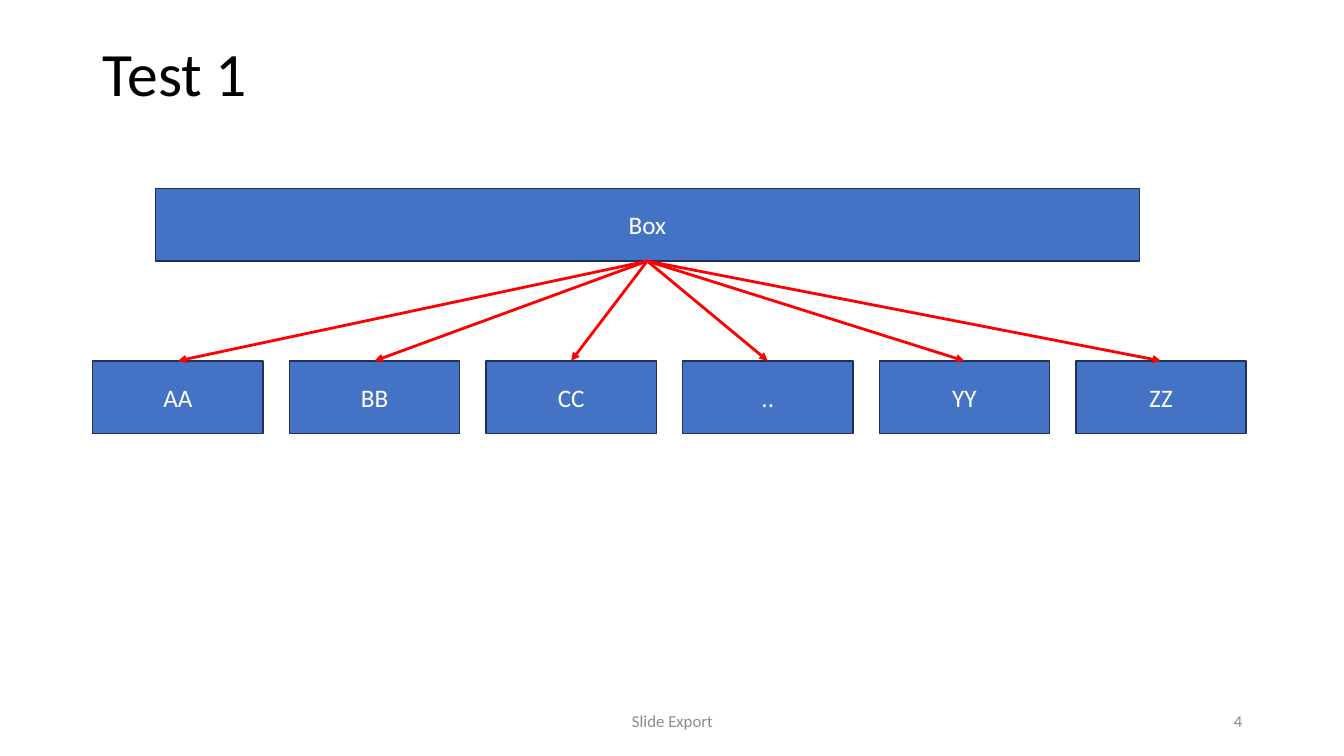
"""Build a slide with one wide box whose arrows fan out to a row of boxes."""
from lxml.etree import SubElement
from pptx import Presentation
from pptx.dml.color import RGBColor
from pptx.enum.shapes import MSO_CONNECTOR, MSO_SHAPE
from pptx.enum.text import MSO_ANCHOR, PP_ALIGN
from pptx.oxml.ns import qn
from pptx.util import Inches, Pt

TITLE = "Test 1"
PARENT = "Box"
CHILDREN = ["AA", "BB", "CC", "..", "YY", "ZZ"]
FOOTERS = [
    ("Slide Export", 4.42, 4.5, PP_ALIGN.CENTER),
    ("4", 9.42, 3, PP_ALIGN.RIGHT),
]

FONT = "Calibri"
BLACK, WHITE, GREY = "000000", "FFFFFF", "8C8C8C"
BLUE, NAVY, RED = "4472C4", "1E3256", "FF0000"
BOX_HEIGHT = 0.72
CHILD_LEFT, CHILD_TOP, CHILD_WIDTH, CHILD_STEP = 0.92, 3.58, 1.69, 1.95


def rgb(value):
    return RGBColor.from_string(value)


def set_text(sp, text, size, color, align):
    tf = sp.text_frame
    tf.text = text
    tf.word_wrap = True
    tf.vertical_anchor = MSO_ANCHOR.MIDDLE
    p = tf.paragraphs[0]
    p.alignment = align
    p.font.name = FONT
    p.font.size = Pt(size)
    p.font.color.rgb = rgb(color)
    return p


def add_box(s, text, left, top, width):
    sp = s.shapes.add_shape(MSO_SHAPE.RECTANGLE, Inches(left), Inches(top),
                            Inches(width), Inches(BOX_HEIGHT))
    sp.shadow.inherit = False
    sp.fill.solid()
    sp.fill.fore_color.rgb = rgb(BLUE)
    sp.line.color.rgb = rgb(NAVY)
    sp.line.width = Pt(1)
    set_text(sp, text, 18, WHITE, PP_ALIGN.CENTER)
    return sp


def add_arrow(s, parent, child):
    arrow = s.shapes.add_connector(MSO_CONNECTOR.STRAIGHT, 0, 0, 0, 0)
    arrow.begin_connect(parent, 2)
    arrow.end_connect(child, 0)
    arrow.line.color.rgb = rgb(RED)
    arrow.line.width = Pt(2)
    SubElement(arrow.line._get_or_add_ln(), qn("a:tailEnd"), type="triangle")
    SubElement(arrow._element.spPr, qn("a:effectLst"))


def main():
    prs = Presentation()
    prs.slide_width, prs.slide_height = Inches(13.33), Inches(7.5)
    s = prs.slides.add_slide(prs.slide_layouts[5])

    title = s.shapes.title
    title.left, title.top = Inches(0.92), Inches(0.29)
    title.width, title.height = Inches(11.5), Inches(0.94)
    p = set_text(title, TITLE, 44, BLACK, PP_ALIGN.LEFT)
    p.line_spacing = 0.9

    for text, left, width, align in FOOTERS:
        sp = s.shapes.add_textbox(Inches(left), Inches(6.95), Inches(width), Inches(0.4))
        set_text(sp, text, 12, GREY, align)

    parent = add_box(s, PARENT, 1.54, 1.87, 9.76)
    children = [add_box(s, text, CHILD_LEFT + i * CHILD_STEP, CHILD_TOP, CHILD_WIDTH)
                for i, text in enumerate(CHILDREN)]
    for child in children:
        add_arrow(s, parent, child)

    prs.save("out.pptx")


if __name__ == "__main__":
    main()
